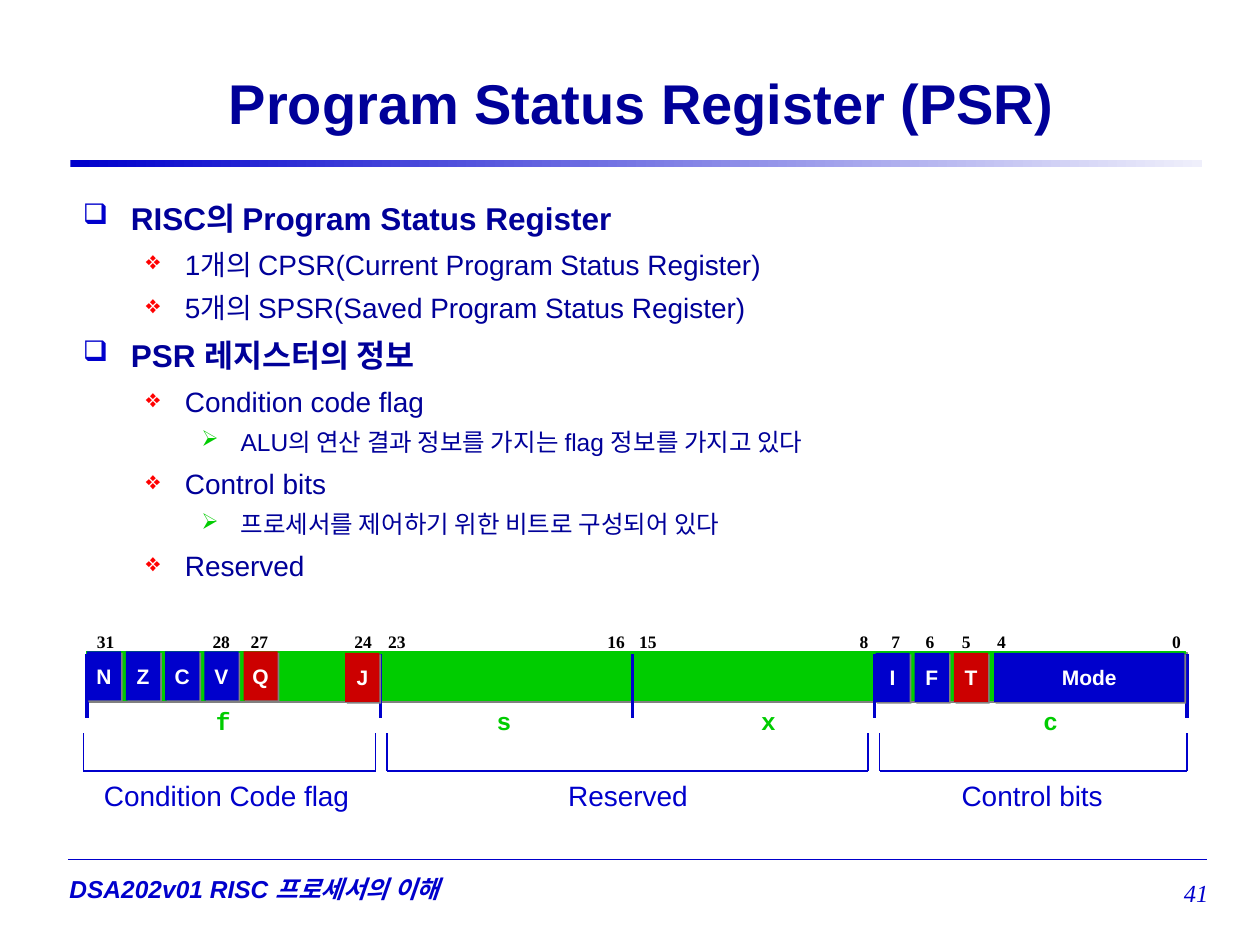
from lxml import etree
from pptx import Presentation
from pptx import util as u
from pptx.dml.color import RGBColor
from pptx.enum import shapes, text
from pptx.oxml import parse_xml
from pptx.oxml.ns import nsdecls, qn

C = {"navy": "000099", "blue": "0000CC", "green": "00CC00", "red": "CC0000",
     "bullet": "FF0000", "white": "FFFFFF", "black": "000000",
     "pale": "EFEFFB", "shadow": "808080"}
AL = text.PP_ALIGN


def box(x, y, w, h, words="", size=12, color="white", font="Arial", bold=False,
        italic=False, align=AL.CENTER, inset=0, fill=None, shadow=False):
    dims = [u.Cm(v) for v in (x, y, w, h)]
    if fill:
        sp = s.shapes.add_shape(shapes.MSO_SHAPE.RECTANGLE, *dims)
        sp.fill.solid()
        sp.fill.fore_color.rgb = RGBColor.from_string(C[fill])
        sp.line.fill.background()
        sp.shadow.inherit = False
    else:
        sp = s.shapes.add_textbox(*dims)
    if shadow:
        effects = sp._element.spPr.find(qn("a:effectLst"))
        effects.append(parse_xml(
            f'<a:outerShdw {nsdecls("a")} dist="17780" dir="2700000" algn="ctr" '
            f'rotWithShape="0"><a:srgbClr val="{C["shadow"]}"/></a:outerShdw>'))
    tf = sp.text_frame
    tf.word_wrap = True
    tf.vertical_anchor = text.MSO_ANCHOR.MIDDLE
    tf.margin_left = tf.margin_right = u.Cm(inset)
    tf.margin_top = tf.margin_bottom = 0
    if words:
        p = tf.paragraphs[0]
        p.alignment = align
        r = p.add_run()
        r.text = words
        r.font.size, r.font.name = u.Pt(size), font
        r.font.bold, r.font.italic = bold, italic
        r.font.color.rgb = RGBColor.from_string(C[color])
    return sp


def line(x1, y1, x2, y2, width=0.75):
    cn = s.shapes.add_connector(shapes.MSO_CONNECTOR.STRAIGHT,
                                *[u.Cm(v) for v in (x1, y1, x2, y2)])
    cn.line.width = u.Pt(width)
    cn.line.color.rgb = RGBColor.from_string(C["blue"])
    etree.SubElement(cn._element.spPr, qn("a:effectLst"))


prs = Presentation()
prs.slide_width, prs.slide_height = u.Cm(25.4), u.Cm(19.05)
s = prs.slides.add_slide(prs.slide_layouts[5])

title = s.shapes.title
title.left, title.top, title.width, title.height = [
    u.Cm(v) for v in (2.24, 0.79, 21.39, 2.54)]
title.text_frame.vertical_anchor = text.MSO_ANCHOR.MIDDLE
p = title.text_frame.paragraphs[0]
p.alignment = AL.CENTER
r = p.add_run()
r.text = "Program Status Register (PSR)"
r.font.size, r.font.name, r.font.bold = u.Pt(32), "Arial", True
r.font.color.rgb = RGBColor.from_string(C["navy"])

rule = box(1.42, 3.23, 22.81, 0.13, fill="blue")
rule.fill.gradient()
rule.fill.gradient_angle = 0
for stop, name in zip(rule.fill.gradient_stops, ("blue", "pale")):
    stop.color.rgb = RGBColor.from_string(C[name])
line(1.37, 17.32, 24.33, 17.32)
box(1.35, 17.48, 9.83, 0.86, "DSA202v01 RISC 프로세서의 이해", 14, "blue",
    bold=True, italic=True, align=AL.LEFT, inset=0.05)
box(22.02, 17.37, 2.34, 1.27, "41", 14, "blue", "Times New Roman",
    italic=True, align=AL.RIGHT)

levels = [(0.97, 0.97, 4.5, "❑", "blue", 18),
          (2.06, 0.79, 4, "❖", "bullet", 16),
          (3.18, 0.79, 3.5, "➢", "green", 14)]
points = [(0, "RISC의 Program Status Register"),
          (1, "1개의 CPSR(Current Program Status Register)"),
          (1, "5개의 SPSR(Saved Program Status Register)"),
          (0, "PSR 레지스터의 정보"),
          (1, "Condition code flag"),
          (2, "ALU의 연산 결과 정보를 가지는 flag 정보를 가지고 있다"),
          (1, "Control bits"),
          (2, "프로세서를 제어하기 위한 비트로 구성되어 있다"),
          (1, "Reserved")]
tf = s.shapes.add_textbox(u.Cm(1.42), u.Cm(3.81), u.Cm(22.76), u.Cm(13.13)).text_frame
tf.word_wrap = True
for i, (level, words) in enumerate(points):
    left, hang, before, mark, color, size = levels[level]
    p = tf.add_paragraph() if i else tf.paragraphs[0]
    p.level = level
    p.line_spacing = 1.1
    p.space_before = u.Pt(before if i else 0)
    pPr = p._p.get_or_add_pPr()
    pPr.set("marL", str(u.Cm(left)))
    pPr.set("indent", str(-u.Cm(hang)))
    clr = etree.SubElement(pPr, qn("a:buClr"))
    etree.SubElement(clr, qn("a:srgbClr"), val=C[color])
    etree.SubElement(pPr, qn("a:buSzPct"), val="90000")
    etree.SubElement(pPr, qn("a:buChar"), char=mark)
    r = p.add_run()
    r.text = words
    r.font.size, r.font.name, r.font.bold = u.Pt(size), "Arial", level == 0
    r.font.color.rgb = RGBColor.from_string(C["navy"])

register = box(1.75, 13.13, 22.15, 0.99, fill="green", shadow=True)
register.line.color.rgb = RGBColor.from_string(C["green"])
register.line.width = u.Pt(0.75)
for x in (1.75, 7.67, 12.75, 17.63, 23.93):
    line(x, 13.18, x, 14.48, 2)

bits = {"31": 2.13, "28": 4.46, "27": 5.23, "24": 7.32, "23": 8, "16": 12.42,
        "15": 13.06, "8": 17.42, "7": 18.06, "6": 18.75, "5": 19.48,
        "4": 20.19, "0": 23.72}
for bit, center in bits.items():
    box(center - 0.35, 12.65, 0.7, 0.58, bit, 10, "black", "Times New Roman", bold=True)

cells = [(1.75 + 0.79 * i, 13.13, 0.69, name) for i, name in enumerate("NZCVQ")]
cells += [(17.65 + 0.79 * i, 13.16, 0.69, name) for i, name in enumerate("IFT")]
cells += [(6.96, 13.16, 0.69, "J"), (20.04, 13.16, 3.84, "Mode")]
for x, y, w, name in cells:
    box(x, y, w, 0.99, name, bold=True, shadow=True,
        fill="red" if name in ("Q", "J", "T") else "blue")

for x, name in ((1.96, "f"), (7.62, "s"), (12.95, "x"), (18.64, "c")):
    box(x, 14.1, 5.08, 0.86, name, 14, "green", "Courier New", bold=True)

groups = [(1.68, 7.57, 4.57, "Condition Code flag"),
          (7.8, 17.5, 12.66, "Reserved"),
          (17.73, 23.93, 20.81, "Control bits")]
for left, right, center, name in groups:
    line(left, 14.78, left, 15.54)
    line(right, 14.78, right, 15.54)
    line(left, 15.54, right, 15.54)
    box(center - 3, 15.57, 6, 0.94, name, 16, "blue")

prs.save("out.pptx")
